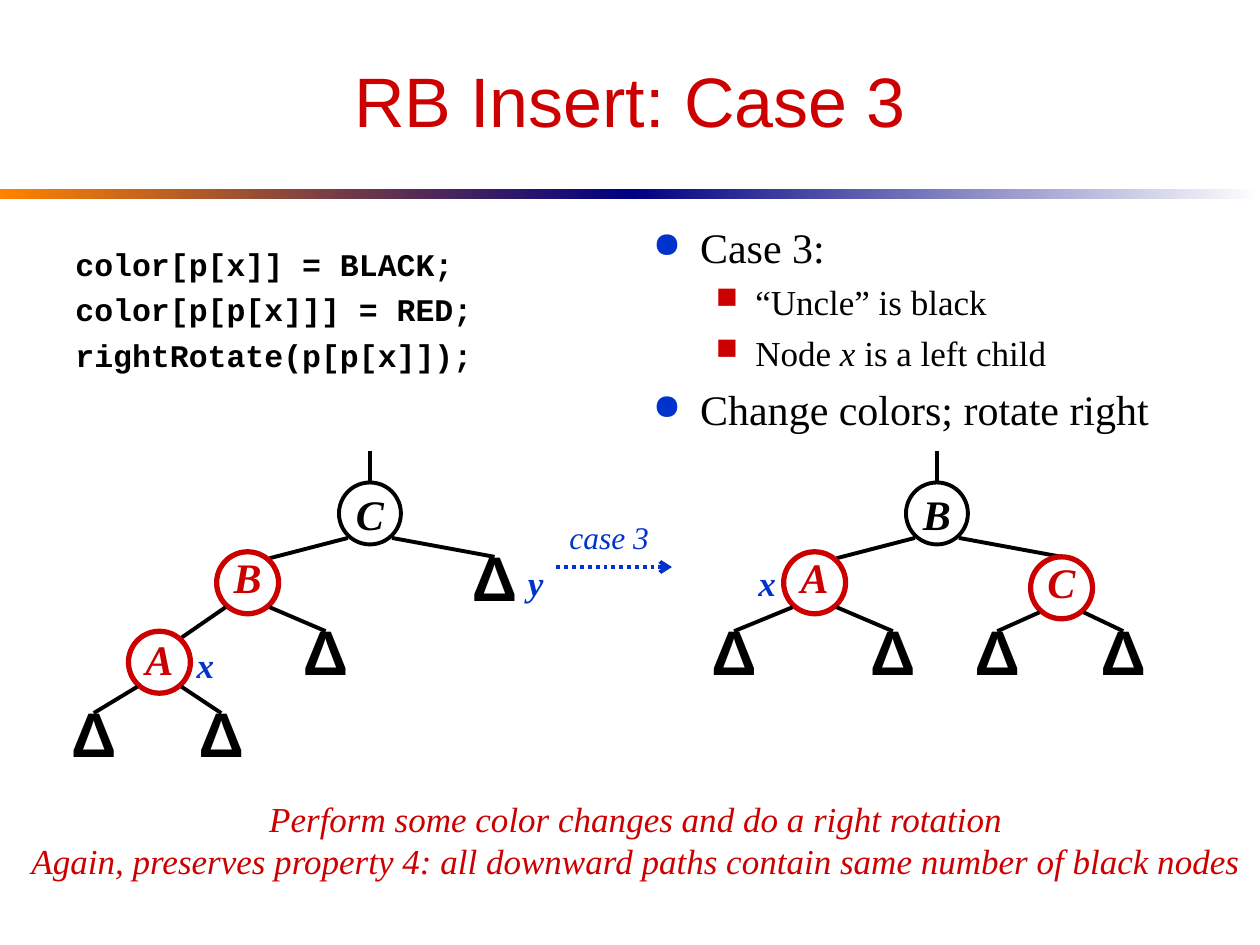
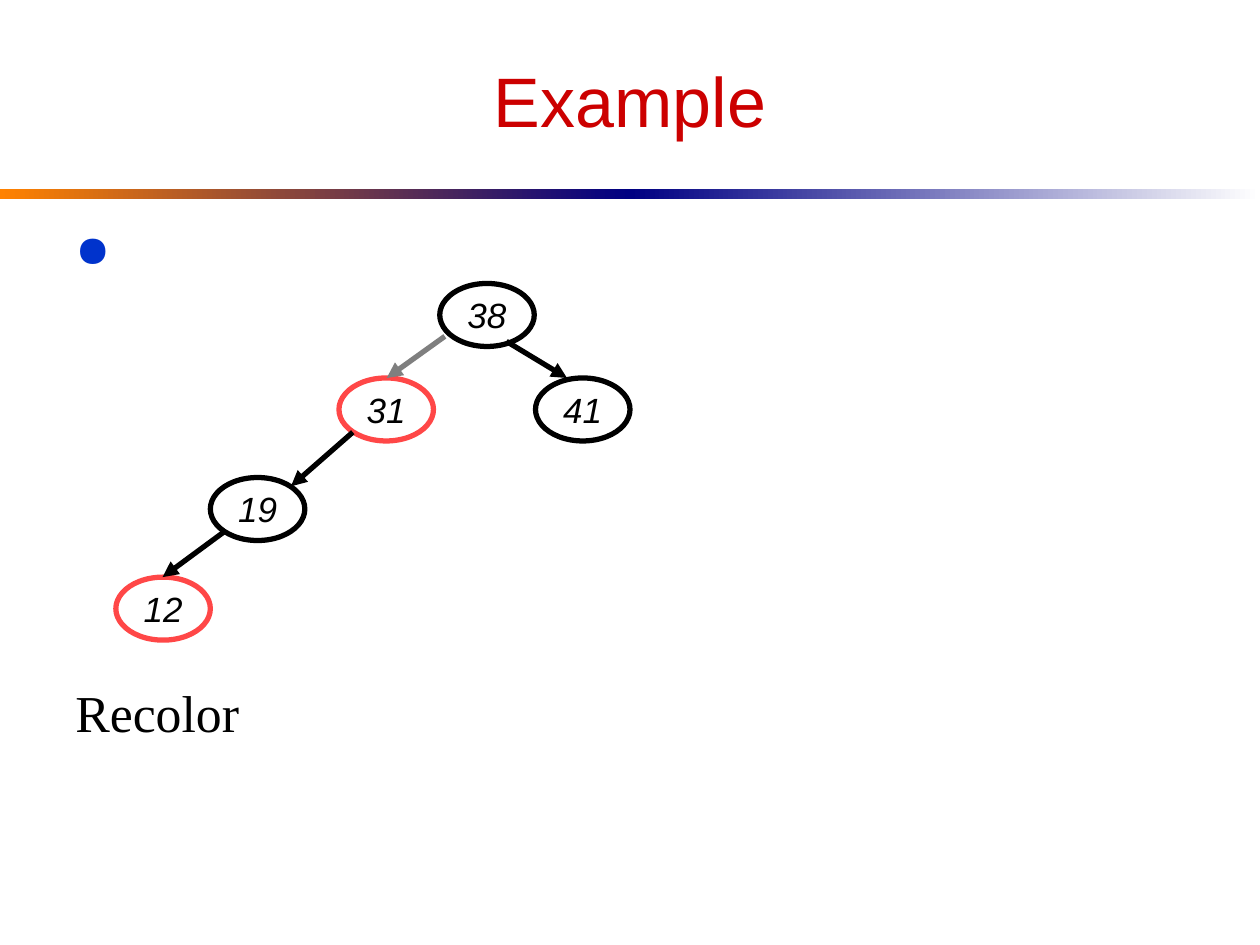
from lxml.etree import SubElement
from pptx import Presentation
from pptx.dml.color import RGBColor
from pptx.enum.dml import MSO_LINE
from pptx.enum.shapes import MSO_CONNECTOR, MSO_SHAPE
from pptx.enum.text import MSO_ANCHOR as ANCHOR, PP_ALIGN as ALIGN
from pptx.oxml.ns import qn
from pptx.util import Pt

BLACK = RGBColor(0, 0, 0)
WHITE = RGBColor(255, 255, 255)
RED = RGBColor(0xCC, 0, 0)
BLUE = RGBColor(0, 0x33, 0xCC)
ORANGE = RGBColor(0xFF, 0x82, 0)
NAVY = RGBColor(0, 0, 0x82)
CORAL = RGBColor(0xFF, 0x47, 0x47)
GRAY = RGBColor(0x7F, 0x7F, 0x7F)
SERIF, SANS, MONO = "Times New Roman", "Arial", "Courier New"


def write(p, text, size=20, color=BLACK, font=SERIF, bold=False, italic=False,
          align=None, before=0, spacing=None, bullet=None, margin=0, hang=0):
    """Add a run to paragraph p; the paragraph format applies when given."""
    if align is not None:
        p.alignment = align
    if before:
        p.space_before = Pt(before)
    if spacing:
        p.line_spacing = spacing
    if bullet:
        ppr = p._p.get_or_add_pPr()
        ppr.set("marL", str(Pt(margin)))
        ppr.set("indent", str(Pt(-hang)))
        tint = SubElement(ppr, qn("a:buClr"))
        SubElement(tint, qn("a:srgbClr"), val=str(BLUE if bullet == "●" else RED))
        SubElement(ppr, qn("a:buSzPct"), val="85000")
        SubElement(ppr, qn("a:buChar"), char=bullet)
    r = p.add_run()
    r.text = text
    r.font.size, r.font.name, r.font.color.rgb = Pt(size), font, color
    r.font.bold, r.font.italic = bold, italic


def connect(s, x1, y1, x2, y2, color=BLACK, width=2.25, head=None, dash=None):
    c = s.shapes.add_connector(MSO_CONNECTOR.STRAIGHT, Pt(x1), Pt(y1), Pt(x2), Pt(y2))
    c.line.color.rgb, c.line.width = color, Pt(width)
    if dash:
        c.line.dash_style = dash
    sppr = c.element.spPr
    if head:
        SubElement(sppr.find(qn("a:ln")), qn("a:tailEnd"), type=head)
    SubElement(sppr, qn("a:effectLst"))


prs = Presentation()
prs.slide_width, prs.slide_height = Pt(720), Pt(540)

# Title and gradient band on every slide
for title in ("RB Insert: Case 3", "Example"):
    s = prs.slides.add_slide(prs.slide_layouts[5])
    for i, (start, end) in enumerate([(ORANGE, NAVY), (NAVY, WHITE)]):
        band = s.shapes.add_shape(MSO_SHAPE.RECTANGLE, Pt(360 * i), Pt(108), Pt(360), Pt(6))
        band.shadow.inherit = False
        band.line.fill.background()
        band.fill.gradient()
        band.fill.gradient_angle = 0
        for stop, color in zip(band.fill.gradient_stops, (start, end)):
            stop.color.rgb = color
    sp = s.shapes.title
    sp.left, sp.top, sp.width, sp.height = Pt(36), Pt(18), Pt(648), Pt(78)
    sp.text_frame.vertical_anchor = ANCHOR.MIDDLE
    write(sp.text_frame.paragraphs[0], title, size=40, color=RED, font=SANS, align=ALIGN.CENTER)

case_slide, example_slide = prs.slides

# Case 3: code
s = case_slide
tf = s.shapes.add_textbox(Pt(36), Pt(136.3), Pt(318), Pt(127)).text_frame
tf.word_wrap = True
code = ["color[p[x]] = BLACK;", "color[p[p[x]]] = RED;", "rightRotate(p[p[x]]);"]
for i, line in enumerate(code):
    p = tf.paragraphs[0] if i == 0 else tf.add_paragraph()
    write(p, line, size=18, font=MONO, bold=True, before=4.5 if i else 0)

# Case 3: bullets, as level and runs (text, italic)
tf = s.shapes.add_textbox(Pt(366), Pt(123), Pt(318), Pt(138)).text_frame
tf.word_wrap = True
points = [(0, [("Case 3:", False)]),
          (1, [("“Uncle” is black", False)]),
          (1, [("Node ", False), ("x", True), (" is a left child", False)]),
          (0, [("Change colors; rotate right", False)])]
levels = [dict(bullet="●", margin=27, hang=27, before=6),
          dict(bullet="■", margin=58.5, hang=22.5, before=5)]
for i, (level, runs) in enumerate(points):
    p = tf.paragraphs[0] if i == 0 else tf.add_paragraph()
    p.level = level
    for j, (text, italic) in enumerate(runs):
        fmt = dict(levels[level]) if j == 0 else {}
        if i == 0:
            fmt["before"] = 0
        write(p, text, size=24 - 4 * level, italic=italic, **fmt)

# Trees: letter, centre x, centre y, parent index, line spacing
before_tree = [("C", 211.4, 293.4, None, 1), ("B", 141.5, 333, 0, 0.7),
               ("Δ", 282.6, 335.9, 0, 0.6), ("A", 91.1, 378.4, 1, 0.9),
               ("Δ", 186.1, 378.4, 1, 0.6), ("Δ", 53.6, 425.2, 3, 0.6),
               ("Δ", 126.4, 425.2, 3, 0.6)]
after_tree = [("B", 535.4, 293.4, None, 1), ("A", 465.5, 333, 0, 0.7),
              ("C", 606.6, 335.9, 0, 0.7), ("Δ", 419.5, 378.4, 1, 0.6),
              ("Δ", 510.2, 378.4, 1, 0.6), ("Δ", 569.9, 378.4, 2, 0.6),
              ("Δ", 641.9, 378.4, 2, 0.6)]
RADIUS, DX, DY = 17.7, 12.6, 14
for tree in (before_tree, after_tree):
    for letter, x, y, parent, spacing in tree:
        leaf, root = letter == "Δ", parent is None
        # Edge: left circles are met at the upper right, all others at the top
        if root:
            connect(s, x, y - RADIUS, x, 258)
        else:
            px, py = tree[parent][1:3]
            left = x < px
            to = (x + DX, y - DY) if left and not leaf else (x, y - RADIUS)
            connect(s, px - DX if left else px + DX, py + DY, *to)
        node = s.shapes.add_shape(MSO_SHAPE.OVAL, Pt(x - RADIUS), Pt(y - RADIUS),
                                  Pt(2 * RADIUS), Pt(2 * RADIUS))
        node.shadow.inherit = False
        color = BLACK if leaf or root else RED
        if leaf:
            node.fill.background()
            node.line.fill.background()
        else:
            node.fill.solid()
            node.fill.fore_color.rgb = WHITE
            node.line.color.rgb, node.line.width = color, Pt(2.25 if root else 3)
        tf = node.text_frame
        tf.word_wrap, tf.vertical_anchor = False, ANCHOR.MIDDLE
        write(tf.paragraphs[0], letter, size=36 if leaf else 24, color=color,
              font=SANS if leaf else SERIF, bold=True, italic=not leaf,
              align=ALIGN.CENTER, spacing=spacing)

# Arrow, labels and conclusion
connect(s, 318, 324, 384, 324, color=BLUE, head="arrow", dash=MSO_LINE.ROUND_DOT)
conclusion = ["Perform some color changes and do a right rotation",
              "Again, preserves property 4: all downward paths contain same number of black nodes"]
labels = [(["x"], 426.2, 316.8, 24.5, 31.7, dict(color=BLUE, bold=True)),
          (["x"], 105.1, 363.6, 24.5, 31.7, dict(color=BLUE, bold=True)),
          (["y"], 294.5, 316.8, 23, 31.7, dict(color=BLUE, bold=True)),
          (["case 3"], 318.2, 292.3, 59.8, 28.8, dict(color=BLUE, size=18)),
          (conclusion, 9.8, 452.2, 707, 55.4, dict(color=RED))]
for lines, x, y, w, h, fmt in labels:
    tf = s.shapes.add_textbox(Pt(x), Pt(y), Pt(w), Pt(h)).text_frame
    tf.word_wrap, tf.vertical_anchor = False, ANCHOR.MIDDLE
    for i, line in enumerate(lines):
        p = tf.paragraphs[0] if i == 0 else tf.add_paragraph()
        write(p, line, italic=True, align=ALIGN.CENTER, **fmt)

# Example: bullet and step name
s = example_slide
tf = s.shapes.add_textbox(Pt(36), Pt(124), Pt(648), Pt(338)).text_frame
tf.word_wrap = True
write(tf.paragraphs[0], " ", size=29.6, bullet="●", margin=27, hang=27)
write(tf.add_paragraph(), "Recolor", size=29.6, before=226)

# Example: tree nodes and arrows
for number, x, y, color in [("38", 251.3, 162, BLACK), ("41", 306, 216, BLACK),
                            ("31", 193.7, 216, CORAL), ("19", 120.2, 272.9, BLACK),
                            ("12", 66.2, 329.8, CORAL)]:
    node = s.shapes.add_shape(MSO_SHAPE.OVAL, Pt(x), Pt(y), Pt(54), Pt(36))
    node.shadow.inherit = False
    node.fill.solid()
    node.fill.fore_color.rgb = WHITE
    node.line.color.rgb, node.line.width = color, Pt(3)
    tf = node.text_frame
    tf.word_wrap, tf.vertical_anchor = False, ANCHOR.MIDDLE
    write(tf.paragraphs[0], number, font=SANS, italic=True, align=ALIGN.CENTER)

for x1, y1, x2, y2, color in [(254.2, 192.2, 221, 216, GRAY), (289.4, 195.1, 324, 216, BLACK),
                              (201.6, 247, 166.3, 277.9, BLACK),
                              (128.2, 303.8, 92.9, 329.8, BLACK)]:
    connect(s, x1, y1, x2, y2, color=color, width=3, head="triangle")

prs.save("out.pptx")
